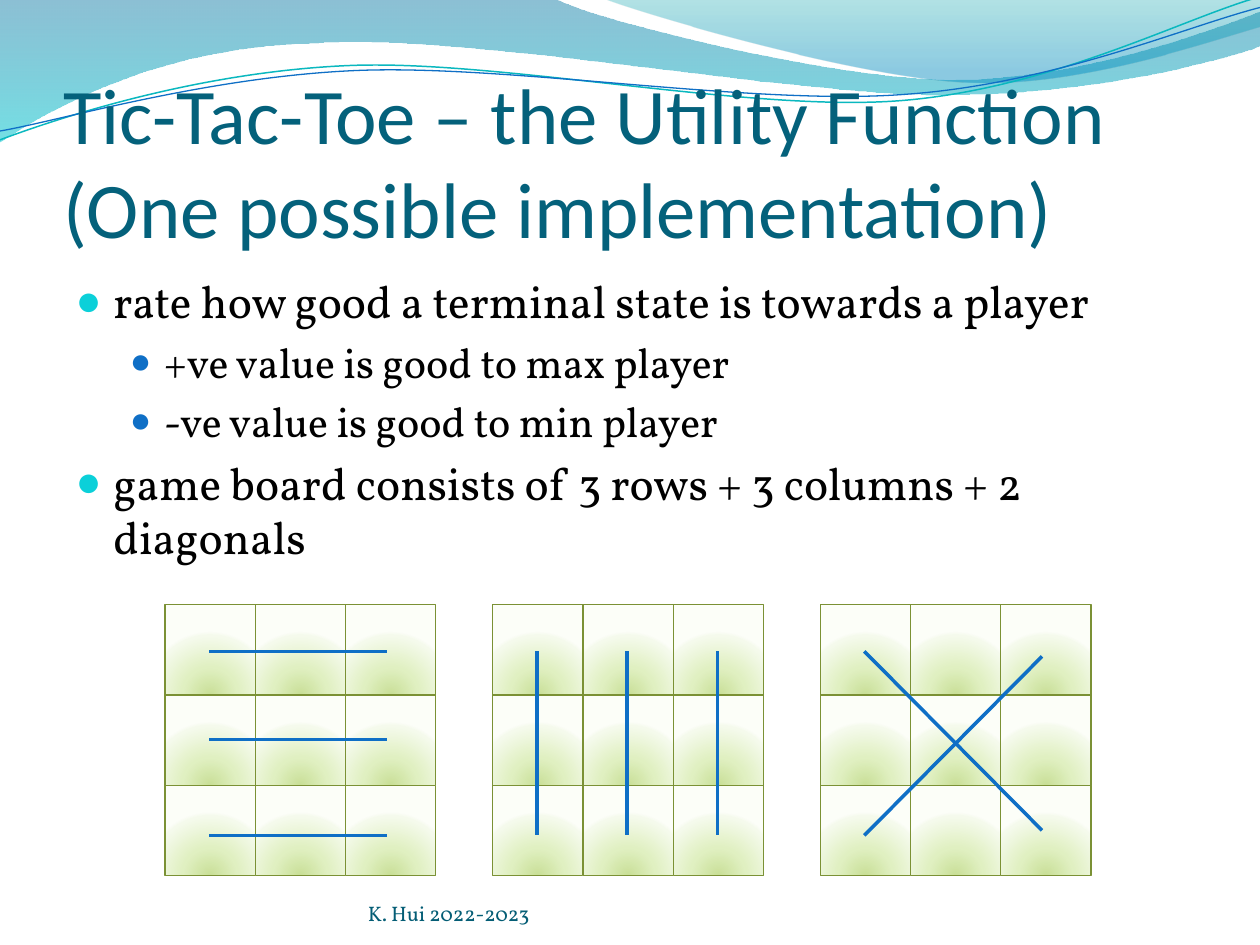
"""Build the Tic-Tac-Toe utility function slide."""
from math import cos, radians, sin
from lxml.etree import SubElement
from pptx import Presentation
from pptx.dml.color import RGBColor
from pptx.enum.shapes import MSO_CONNECTOR, MSO_SHAPE
from pptx.enum.text import MSO_ANCHOR, MSO_AUTO_SIZE, PP_ALIGN
from pptx.oxml.ns import qn
from pptx.util import Inches, Pt

TITLE = "Tic-Tac-Toe – the Utility Function (One possible implementation)"
FOOTER = "K. Hui 2022-2023"
BULLETS = [
    (0, "rate how good a terminal state is towards a player"),
    (1, "+ve value is good to max player"),
    (1, "-ve value is good to min player"),
    (0, "game board consists of 3 rows + 3 columns + 2 diagonals"),
]
LEVELS = [
    {"size": 26, "left": 0.3, "hang": 0.3, "color": "0BD0D9", "scale": 95},
    {"size": 24, "left": 0.7, "hang": 0.27, "color": "0F6FC6", "scale": 85},
]
BANDS = [
    ([[(0, 0)], [(4.4, -0.01)],
      [(4.76, 0.17), (6.64, 0.63), (7.58, 0.63)],
      [(8.53, 0.63), (9.58, 0.26), (10, 0.09)],
      [(10.01, 0.36)],
      [(9.83, 0.44), (8.7, 0.76), (7.46, 0.75)],
      [(6.22, 0.75), (3.82, 0.28), (2.57, 0.34)],
      [(1.29, 0.36), (0.46, 0.83), (-0.01, 1.13)], [(0, 0)]],
     [(0, "0074A1", 45), (100, "00C6CF", 55)]),
    ([[(4.79, -0.01)],
      [(5.09, 0.11), (6.82, 0.62), (7.69, 0.65)],
      [(8.56, 0.69), (9.61, 0.32), (10, 0.21)],
      [(10, 0)], [(4.79, -0.01)]],
     [(0, "00A1A9", 30), (80, "008BBF", 45)]),
]
WAVES = [
    ([[(0, 1.11)], [(0.48, 0.93), (1.58, 0.57), (2.77, 0.52)],
      [(3.95, 0.47), (5.93, 0.89), (7.13, 0.8)],
      [(8.33, 0.71), (9.38, 0.15), (9.98, -0.02)]], (4.99, 0.58), "0AB8BF", 0.85),
    ([[(0, 1.04)], [(0.47, 0.96), (1.64, 0.61), (2.83, 0.56)],
      [(4.03, 0.51), (5.97, 0.84), (7.17, 0.75)],
      [(8.36, 0.67), (9.41, 0.21), (10, 0.06)]], (5, 0.59), "0F6FC6", 0.75),
]
TILT = 2.7
CELL_STOPS = [(0, "C9DF97", 100), (43, "E0F0C1", 100),
              (93, "F5FAEC", 100), (100, "FCFEF8", 100)]
BOARD_TOP, BOARD_LEFT, BOARD_PITCH, BOARD_SIZE = 4.8, 1.31, 2.6, 2.15
CELL = BOARD_SIZE / 3
NEAR, FAR_X, FAR_Y = 0.35, 1.76, 1.83
ROWS = [(NEAR, y, FAR_X, y) for y in (0.37, 1.07, FAR_Y)]
COLUMNS = [(NEAR + i * CELL, 0.37, NEAR + i * CELL, FAR_Y) for i in range(3)]
DIAGONALS = [(NEAR, 0.37, FAR_X, 1.79), (NEAR, FAR_Y, FAR_X, 0.41)]


def rgb(code):
    """Return the colour for a hex string."""
    return RGBColor.from_string(code)


def apply(target, values):
    """Set every attribute in a dict of format values."""
    for name, value in values.items():
        setattr(target, name, value)


def place(box, left, top, width, height):
    """Put a box at a position given in inches."""
    apply(box, {"left": Inches(left), "top": Inches(top),
                "width": Inches(width), "height": Inches(height)})


def turn(point, center, degrees):
    """Rotate a point clockwise about a center."""
    angle = radians(degrees)
    dx, dy = point[0] - center[0], point[1] - center[1]
    return (center[0] + dx * cos(angle) - dy * sin(angle),
            center[1] + dx * sin(angle) + dy * cos(angle))


def add_outline(shapes, pieces, close):
    """Add a freeform of straight pieces and cubic curves."""
    points = [(Inches(x), Inches(y)) for piece in pieces for x, y in piece]
    builder = shapes.build_freeform(*points[0])
    builder.add_line_segments(points[1:], close=close)
    shape = builder.convert_to_shape()
    shape.shadow.inherit = False
    segments = iter(list(shape._element.iter(qn("a:lnTo"))))
    for piece in pieces[1:]:
        first, *others = [next(segments) for _ in piece]
        if others:
            first.tag = qn("a:cubicBezTo")
            for other in others:
                first.append(other[0])
                other.getparent().remove(other)
    return shape


def fill_gradient(shape, stops, radial=False):
    """Give a shape a vertical or a circular gradient fill."""
    properties = shape._element.spPr
    gradient = SubElement(properties, qn("a:gradFill"), rotWithShape="1")
    properties.insert(2, gradient)
    stop_list = SubElement(gradient, qn("a:gsLst"))
    for position, code, alpha in stops:
        stop = SubElement(stop_list, qn("a:gs"), pos=str(position * 1000))
        color = SubElement(stop, qn("a:srgbClr"), val=code)
        if alpha < 100:
            SubElement(color, qn("a:alpha"), val=str(alpha * 1000))
    if radial:
        circle = SubElement(gradient, qn("a:path"), path="circle")
        SubElement(circle, qn("a:fillToRect"), l="50000", t="130000", r="50000", b="-30000")
    else:
        SubElement(gradient, qn("a:lin"), ang="5400000", scaled="1")


def set_line(shape, code, width):
    """Colour and size the line of a shape."""
    shape.line.color.rgb = rgb(code)
    shape.line.width = Pt(width)


def write(para, text, size, font, code):
    """Write a formatted span in a paragraph."""
    span = para.add_run()
    span.text = text
    apply(span.font, {"size": Pt(size), "name": font})
    span.font.color.rgb = rgb(code)


def set_bullet(para, level):
    """Give a paragraph the indent and bullet of its level."""
    properties = para._p.get_or_add_pPr()
    properties.set("marL", str(Inches(level["left"])))
    properties.set("indent", str(-Inches(level["hang"])))
    before = SubElement(properties, qn("a:spcBef"))
    SubElement(before, qn("a:spcPct"), val="20000")
    color = SubElement(properties, qn("a:buClr"))
    SubElement(color, qn("a:srgbClr"), val=level["color"])
    SubElement(properties, qn("a:buSzPct"), val=str(level["scale"] * 1000))
    SubElement(properties, qn("a:buFont"), typeface="Arial")
    SubElement(properties, qn("a:buChar"), char="●")


def add_board(page, left, strokes):
    """Add a three by three board with its winning lines."""
    board = page.shapes.add_group_shape().shapes
    for index in range(9):
        column, row = divmod(index, 3)
        cell = board.add_shape(MSO_SHAPE.RECTANGLE, Inches(left + column * CELL),
                               Inches(BOARD_TOP + row * CELL), Inches(CELL), Inches(CELL))
        cell.shadow.inherit = False
        fill_gradient(cell, CELL_STOPS, radial=True)
        set_line(cell, "7B9135", 0.75)
    for x1, y1, x2, y2 in strokes:
        stroke = board.add_connector(
            MSO_CONNECTOR.STRAIGHT, Inches(left + x1), Inches(BOARD_TOP + y1),
            Inches(left + x2), Inches(BOARD_TOP + y2))
        set_line(stroke, "0F6FC6", 2)
        SubElement(stroke._element.spPr, qn("a:effectLst"))


deck = Presentation()
apply(deck, {"slide_width": Inches(10), "slide_height": Inches(7.5)})
page = deck.slides.add_slide(deck.slide_layouts[1])
title, body = page.placeholders

for pieces, stops in BANDS:
    band = add_outline(page.shapes, pieces, True)
    fill_gradient(band, stops)
    band.line.fill.background()
for pieces, center, code, width in WAVES:
    level_pieces = [[turn(point, center, TILT) for point in piece] for piece in pieces]
    wave = add_outline(page.shapes, level_pieces, False)
    wave.rotation = 360 - TILT
    wave.fill.background()
    set_line(wave, code, width)

for box in (title, body):
    page.shapes._spTree.append(box._element)
place(title, 0.5, 0.77, 9, 1.25)
place(body, 0.5, 2.12, 9, 2.44)
footer = page.shapes.add_textbox(Inches(2.92), Inches(6.95), Inches(3.67), Inches(0.4))
FLAT = {"margin_left": 0, "margin_right": 0, "margin_bottom": 0, "margin_top": 0,
        "vertical_anchor": MSO_ANCHOR.BOTTOM}
FRAMES = [(title, {**FLAT, "margin_top": Inches(0.05)}),
          (body, {"vertical_anchor": MSO_ANCHOR.TOP}), (footer, FLAT)]
for box, values in FRAMES:
    apply(box.text_frame, {"word_wrap": True, "auto_size": MSO_AUTO_SIZE.NONE, **values})
    box.text_frame.paragraphs[0].alignment = PP_ALIGN.LEFT
write(title.text_frame.paragraphs[0], TITLE, 45, "Calibri", "04617B")
write(footer.text_frame.paragraphs[0], FOOTER, 12, "Vollkorn", "045D75")
for index, (depth, text) in enumerate(BULLETS):
    frame = body.text_frame
    para = frame.add_paragraph() if index else frame.paragraphs[0]
    para.level = depth
    set_bullet(para, LEVELS[depth])
    write(para, text, LEVELS[depth]["size"], "Vollkorn", "000000")

for index, strokes in enumerate((ROWS, COLUMNS, DIAGONALS)):
    add_board(page, BOARD_LEFT + index * BOARD_PITCH, strokes)

deck.save("out.pptx")
